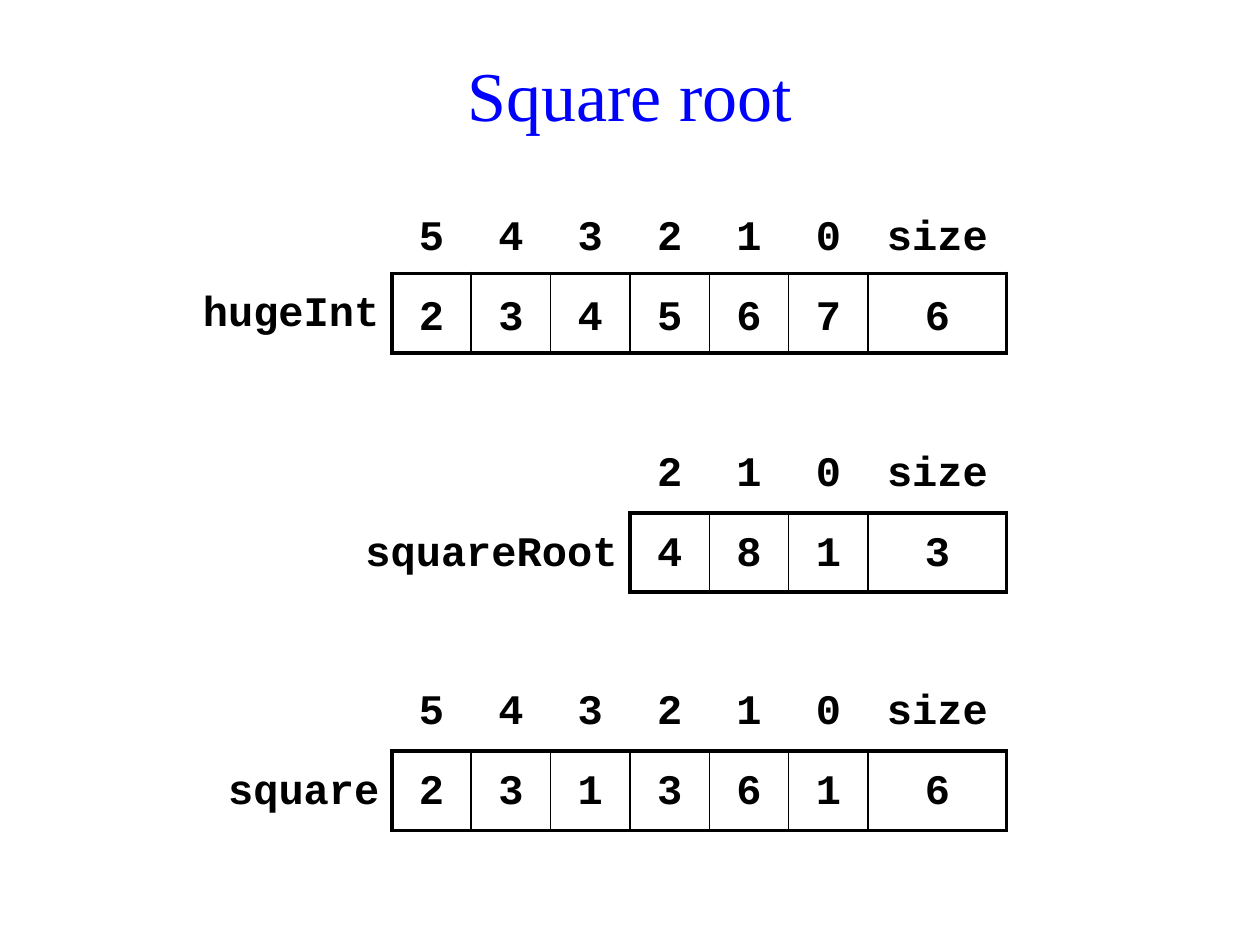
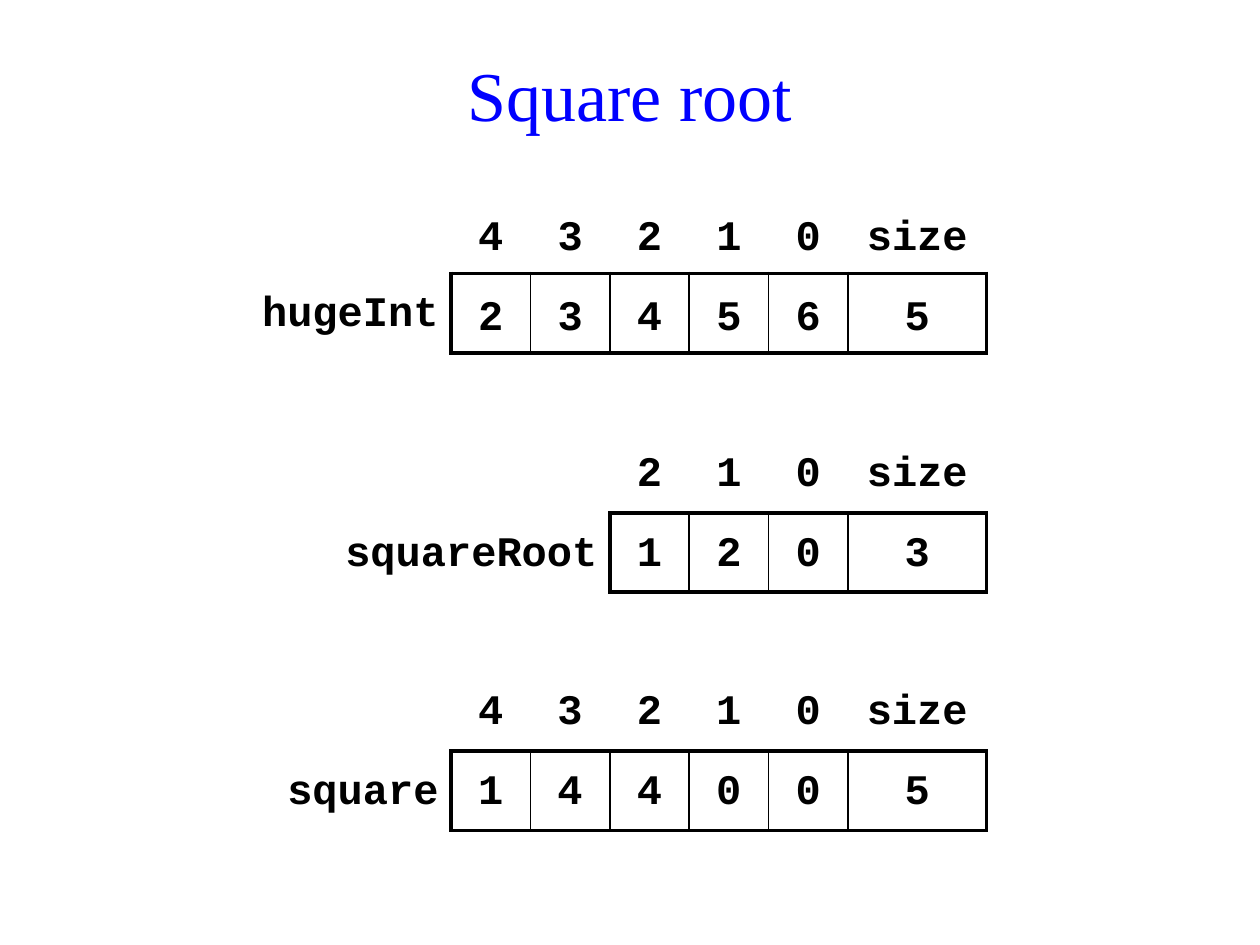
from dataclasses import dataclass

from lxml import etree
from pptx import Presentation
from pptx.dml.color import RGBColor
from pptx.enum.text import MSO_ANCHOR, PP_ALIGN
from pptx.oxml.ns import qn
from pptx.util import Emu, Pt

CENTER, RIGHT = PP_ALIGN.CENTER, PP_ALIGN.RIGHT
TOP, MIDDLE = MSO_ANCHOR.TOP, MSO_ANCHOR.MIDDLE
EMU_PER_PX = 9144  # 100 px to the inch
TITLE_ONLY = 5


def px(length):
    return Emu(length * EMU_PER_PX)


@dataclass(frozen=True)
class Theme:
    title_color: str = "0000FF"
    ink: str = "000000"
    paper: str = "FFFFFF"
    title_font: str = "Times New Roman"
    code_font: str = "Courier New"
    title_size: int = 40
    code_size: int = 24
    line_spacing: float = 1.25
    frame_width: float = 2.25
    divider_width: float = 1


# Geometry shared by the number tables
CELL = 63
SIZE_WIDTH = 110

# Variable name, top, label column width, anchor of the digits
VARIABLES = [
    ("hugeInt", 154, 173, MIDDLE),
    ("squareRoot", 344, 220, TOP),
    ("square", 533, 142, TOP),
]

# Right edge of the tables, then the digits of each variable
EXAMPLES = [
    (799, ["234567", "481", "231361"]),
    (783, ["23456", "120", "14400"]),
]


class SlideBuilder:
    def __init__(self, presentation, theme):
        self.presentation = presentation
        self.theme = theme
        self.slide = None

    def new_slide(self):
        layout = self.presentation.slide_layouts[TITLE_ONLY]
        self.slide = self.presentation.slides.add_slide(layout)
        background = self.slide.background.fill
        background.solid()
        background.fore_color.rgb = RGBColor.from_string(self.theme.paper)

    def run(self, paragraph, text, font, size, color, bold=False):
        run = paragraph.add_run()
        run.text = text
        run.font.name = font
        run.font.size = Pt(size)
        run.font.bold = bold
        run.font.color.rgb = RGBColor.from_string(color)

    def title(self, text):
        theme = self.theme
        title = self.slide.shapes.title
        title.left, title.top = px(59), px(28)
        title.width, title.height = px(882), px(93)
        title.text_frame.vertical_anchor = MIDDLE
        paragraph = title.text_frame.paragraphs[0]
        paragraph.alignment = CENTER
        self.run(paragraph, text, theme.title_font, theme.title_size, theme.title_color)

    def borders(self, cell, left=0, right=0, top=0, bottom=0):
        properties = cell._tc.get_or_add_tcPr()
        edges = {"lnL": left, "lnR": right, "lnT": top, "lnB": bottom}
        for tag, width in edges.items():
            line = etree.SubElement(properties, qn(f"a:{tag}"))
            if width:
                line.set("w", str(Pt(width)))
                fill = etree.SubElement(line, qn("a:solidFill"))
                etree.SubElement(fill, qn("a:srgbClr"), val=self.theme.ink)
            else:
                etree.SubElement(line, qn("a:noFill"))

    def cell_text(self, cell, text, alignment, anchor):
        theme = self.theme
        cell.vertical_anchor = anchor
        paragraph = cell.text_frame.paragraphs[0]
        paragraph.alignment = alignment
        paragraph.line_spacing = theme.line_spacing
        self.run(paragraph, text, theme.code_font, theme.code_size, theme.ink, bold=True)

    def number_table(self, name, digits, right_edge, top, label_width, anchor):
        frame, divider = self.theme.frame_width, self.theme.divider_width
        count = len(digits)
        widths = [label_width] + [CELL] * count + [SIZE_WIDTH]
        total = sum(widths)
        table = self.slide.shapes.add_table(
            2, len(widths), px(right_edge - total), px(top), px(total), px(2 * CELL)
        ).table
        table.first_row = table.horz_banding = False
        for row in table.rows:
            row.height = px(CELL)
        for column, width in zip(table.columns, widths):
            column.width = px(width)

        # Label column
        self.borders(table.cell(0, 0))
        label = table.cell(1, 0)
        self.borders(label, right=frame)
        self.cell_text(label, name, RIGHT, TOP)

        # Positions above the framed digits, with the size at the end
        positions = [str(i) for i in reversed(range(count))] + ["size"]
        values = list(digits) + [str(count)]
        for column, (position, value) in enumerate(zip(positions, values), start=1):
            header, body = table.cell(0, column), table.cell(1, column)
            self.borders(header, bottom=frame)
            self.borders(
                body,
                left=frame if column == 1 else divider,
                right=frame if column == len(values) else divider,
                top=frame,
                bottom=frame,
            )
            self.cell_text(header, position, CENTER, anchor)
            self.cell_text(body, value, CENTER, anchor)

        for cell in table.iter_cells():
            cell.fill.background()


def main():
    presentation = Presentation()
    presentation.slide_width, presentation.slide_height = px(1000), px(750)
    builder = SlideBuilder(presentation, Theme())
    for right_edge, numbers in EXAMPLES:
        builder.new_slide()
        builder.title("Square root")
        for (name, top, label_width, anchor), digits in zip(VARIABLES, numbers):
            builder.number_table(name, digits, right_edge, top, label_width, anchor)
    presentation.save("out.pptx")


if __name__ == "__main__":
    main()
